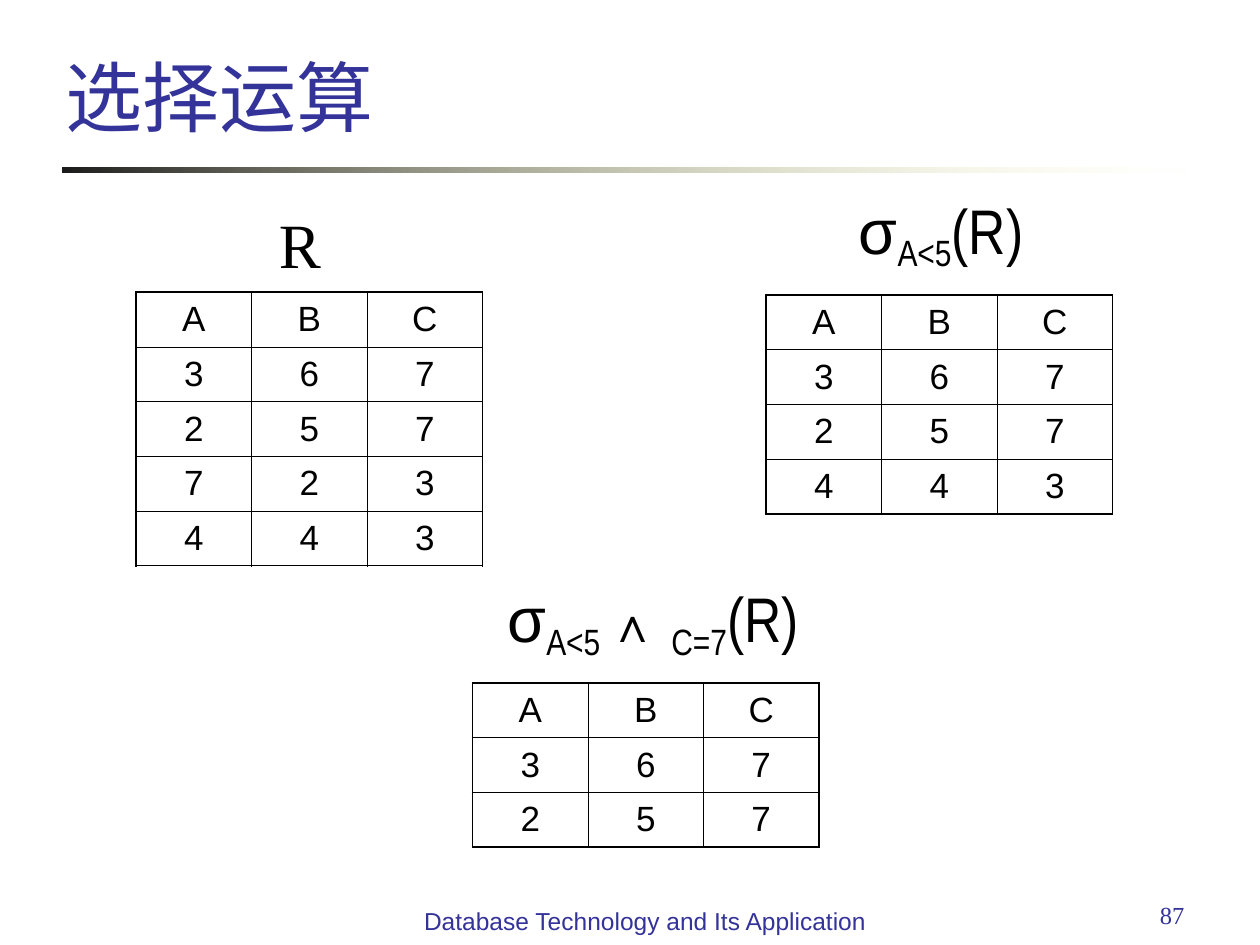
"""Build the relational selection slide with its three tables."""
from lxml.etree import SubElement
from pptx import Presentation
from pptx.dml.color import RGBColor
from pptx.enum.shapes import MSO_SHAPE
from pptx.enum.text import MSO_ANCHOR, MSO_AUTO_SIZE, PP_ALIGN
from pptx.oxml.ns import qn
from pptx.util import Inches, Pt

COLORS = {"title": "333399", "text": "000000", "bar_dark": "1C1C1C", "bar_light": "FFFFB7"}
SUB = {"font": "Arial Narrow", "base": -20}
NARROW = {"font": "Arial Narrow"}


class SlideBuilder:
    def __init__(self, prs):
        self.s = prs.slides.add_slide(prs.slide_layouts[5])
        self.outer, self.inner = Pt(1.08), Pt(0.45)

    def color(self, name):
        return RGBColor.from_string(COLORS[name])

    def add_runs(self, p, runs, size, font="Arial", color="text", **fmt):
        for name, value in fmt.items():
            setattr(p, name, value)
        for text, style in runs:
            r = p.add_run()
            r.text = text
            values = {"size": Pt(style.get("size", size)), "name": style.get("font", font)}
            for name, value in values.items():
                setattr(r.font, name, value)
            r.font.color.rgb = self.color(color)
            if "base" in style:
                r.font._element.set("baseline", str(style["base"] * 1000))

    def title(self, text, box):
        sp = self.s.shapes.title
        for name, value in zip(("left", "top", "width", "height"), box):
            setattr(sp, name, Inches(value))
        tf = sp.text_frame
        tf.vertical_anchor = MSO_ANCHOR.BOTTOM
        self.add_runs(tf.paragraphs[0], [(text, {})], 44, color="title", alignment=PP_ALIGN.LEFT)

    def bar(self, box):
        sp = self.s.shapes.add_shape(MSO_SHAPE.RECTANGLE, *map(Inches, box))
        sp.shadow.inherit = False
        sp.line.fill.background()
        sp.fill.gradient()
        sp.fill.gradient_angle = 0
        for stop, name, pos in zip(sp.fill.gradient_stops, ("bar_dark", "bar_light"), (0, 1)):
            stop.color.rgb = self.color(name)
            stop.position = pos
        last = sp._element.spPr.findall(".//" + qn("a:srgbClr"))[-1]
        SubElement(last, qn("a:alpha"), val="0")

    def text(self, runs, box, size, grow=False, **fmt):
        sp = self.s.shapes.add_textbox(*map(Inches, box))
        tf = sp.text_frame
        tf.word_wrap = True
        tf.auto_size = MSO_AUTO_SIZE.SHAPE_TO_FIT_TEXT if grow else MSO_AUTO_SIZE.NONE
        self.add_runs(tf.paragraphs[0], runs, size, **fmt)

    def label(self, runs, box, **fmt):
        self.text(runs, box, 36, grow=True, alignment=PP_ALIGN.CENTER,
                  space_before=Pt(22.5), **fmt)

    def borders(self, cell, edges):
        tc_pr = cell._tc.get_or_add_tcPr()
        for side, is_outer in edges.items():
            width = self.outer if is_outer else self.inner
            ln = SubElement(tc_pr, qn("a:ln" + side), w=str(width))
            SubElement(SubElement(ln, qn("a:solidFill")), qn("a:srgbClr"), val=COLORS["text"])

    def table(self, rows, left, top, height):
        n, m = len(rows), len(rows[0])
        box = map(Inches, (left, top, 2.75, height))
        table = self.s.shapes.add_table(n, m, *box).table
        table.first_row = table.horz_banding = False
        for i, row in enumerate(rows):
            for j, text in enumerate(row):
                cell = table.cell(i, j)
                self.borders(cell, {"L": j == 0, "R": j == m - 1, "T": i == 0, "B": i == n - 1})
                cell.fill.background()
                cell.vertical_anchor = MSO_ANCHOR.MIDDLE
                self.add_runs(cell.text_frame.paragraphs[0], [(text, {})], 20,
                              alignment=PP_ALIGN.CENTER, space_before=Pt(5))


def main():
    prs = Presentation()
    prs.slide_width, prs.slide_height = Inches(10), Inches(7.5)
    b = SlideBuilder(prs)
    b.bar((0.5, 1.33, 9, 0.04))
    b.title("选择运算", (0.42, 0, 8.78, 1.18))

    b.table(["ABC", "367", "257", "723", "443"], 1.08, 2.32, 2.17)
    b.label([("R", {})], (1.92, 1.58, 0.92, 0.7), font="Times New Roman")
    b.label([("σ", {}), ("A<5", SUB), ("(R) ", NARROW)], (6.42, 1.47, 2.21, 0.76))
    b.table(["ABC", "367", "257", "443"], 6.08, 2.34, 1.74)
    b.label([("σ", {}), ("A<5 ", SUB), ("∧ ", {"size": 28}), ("C=7", SUB), ("(R) ", NARROW)],
            (3.75, 4.55, 2.98, 0.76))
    b.table(["ABC", "367", "257"], 3.75, 5.42, 1.3)

    b.text([("87", {})], (7.17, 7.09, 2.33, 0.52), 14, font="Times New Roman",
           color="title", alignment=PP_ALIGN.RIGHT)
    b.text([("Database Technology and Its Application", {})], (3.19, 7.14, 3.86, 0.52), 14,
           color="title", alignment=PP_ALIGN.CENTER)
    prs.save("out.pptx")


if __name__ == "__main__":
    main()
